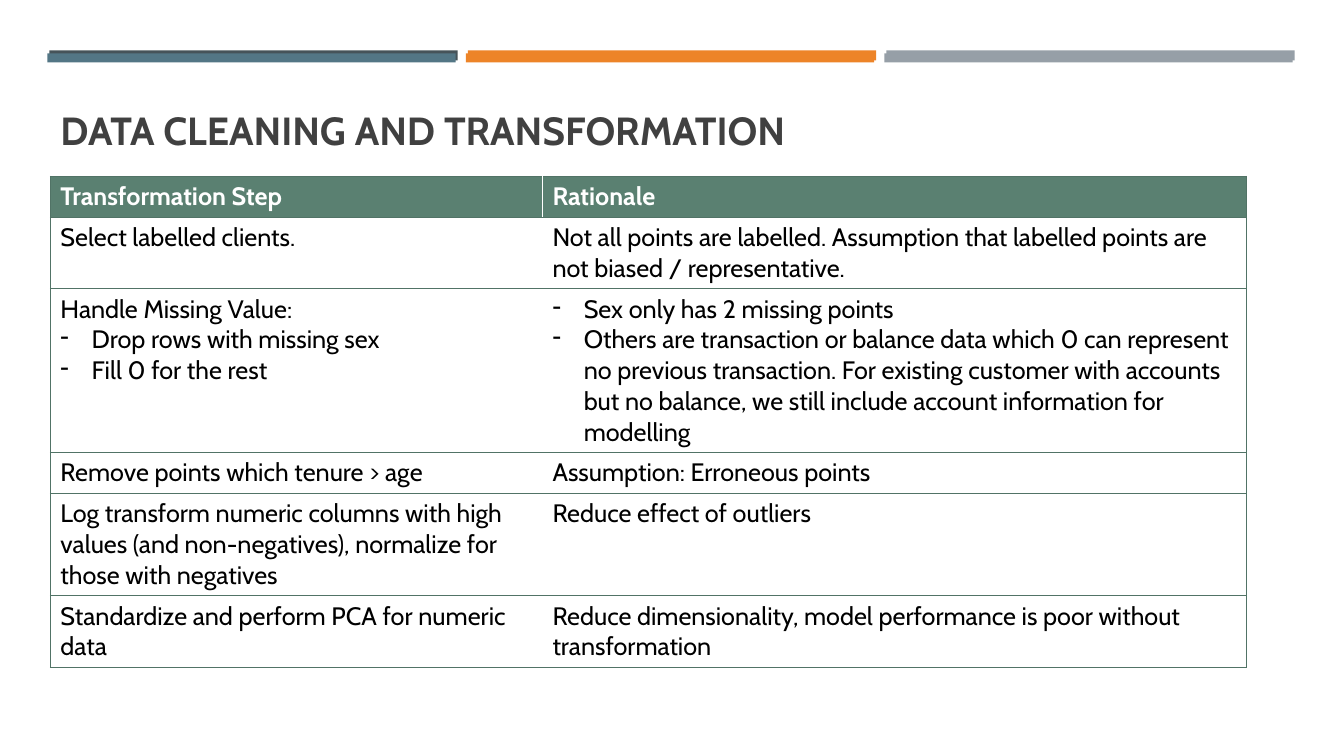
"""Build the data cleaning and transformation slide."""
import lxml.etree
import pptx
import pptx.dml.color
import pptx.enum.shapes
import pptx.enum.text
import pptx.oxml.ns
import pptx.util

Inches = pptx.util.Inches
FONT = "Cabin"
GREEN, LINE = "5A8071", "517366"
BAR_WIDTH, BAR_STEP = 4.05, 4.15
LINE_HEIGHT, CELL_PADDING = 0.305, 0.1


def colour(code):
    """Turn a hex string into a colour."""
    return pptx.dml.color.RGBColor.from_string(code)


def style(para, size, code, bold):
    """Format every run of a paragraph."""
    for span in para.runs:
        span.font.name = FONT
        span.font.size = pptx.util.Pt(size)
        span.font.bold = bold
        span.font.color.rgb = colour(code)


deck = pptx.Presentation()
deck.slide_width, deck.slide_height = Inches(13.33), Inches(7.5)
page = deck.slides.add_slide(deck.slide_layouts[6])

bar_layers = [
    (0.49, 0.5, 0.1, ["465359", "ED8428", "969FA7"]),
    (0.47, 0.53, 0.09, ["537685", "ED8428", "969FA7"]),
]
for left, top, height, codes in bar_layers:
    for index, code in enumerate(codes):
        bar = page.shapes.add_shape(
            pptx.enum.shapes.MSO_SHAPE.RECTANGLE,
            Inches(left + index * BAR_STEP), Inches(top), Inches(BAR_WIDTH), Inches(height))
        bar.shadow.inherit = False
        bar.fill.solid()
        bar.fill.fore_color.rgb = colour(code)
        bar.line.fill.background()

title = page.shapes.add_textbox(Inches(0.5), Inches(0.32), Inches(12.32), Inches(1.25))
title.text_frame.word_wrap = True
title.text_frame.vertical_anchor = pptx.enum.text.MSO_ANCHOR.BOTTOM
title.text_frame.text = "DATA CLEANING AND TRANSFORMATION"
style(title.text_frame.paragraphs[0], 28, "404040", True)

steps = [
    (1, "Transformation Step", "Rationale"),
    (2, "Select labelled clients.",
     "Not all points are labelled. Assumption that labelled points are not biased / representative."),
    (5, "Handle Missing Value:\n- Drop rows with missing sex\n- Fill 0 for the rest",
     "- Sex only has 2 missing points\n"
     "- Others are transaction or balance data which 0 can represent no previous transaction. "
     "For existing customer with accounts but no balance, we still include account information "
     "for modelling"),
    (1, "Remove points which tenure > age", "Assumption: Erroneous points"),
    (3, "Log transform numeric columns with high values (and non-negatives), "
     "normalize for those with negatives", "Reduce effect of outliers"),
    (2, "Standardize and perform PCA for numeric data",
     "Reduce dimensionality, model performance is poor without transformation"),
]
heights = [CELL_PADDING + lines * LINE_HEIGHT for lines, *_ in steps]
table = page.shapes.add_table(
    len(steps), 2, Inches(0.5), Inches(1.75), Inches(11.86), Inches(sum(heights))).table
table.horz_banding = False
for column, width in zip(table.columns, (4.88, 6.98)):
    column.width = Inches(width)

for row_index, (lines, *texts) in enumerate(steps):
    table.rows[row_index].height = Inches(heights[row_index])
    header = row_index == 0
    for column_index, text in enumerate(texts):
        cell = table.cell(row_index, column_index)
        cell.fill.solid()
        cell.fill.fore_color.rgb = colour(GREEN if header else "FFFFFF")
        items = text.split("\n")
        cell.text_frame.text = "\n".join(item.removeprefix("- ") for item in items)
        for item, para in zip(items, cell.text_frame.paragraphs):
            style(para, 18, "FFFFFF" if header else "000000", header)
            if item.startswith("- "):
                properties = para._p.get_or_add_pPr()
                properties.set("marL", str(Inches(0.31)))
                properties.set("indent", str(-Inches(0.31)))
                bullet = lxml.etree.SubElement(properties, pptx.oxml.ns.qn("a:buChar"))
                bullet.set("char", "-")

        outer_side = "a:lnR" if column_index else "a:lnL"
        for position, side in enumerate((outer_side, "a:lnT", "a:lnB")):
            border = lxml.etree.Element(pptx.oxml.ns.qn(side), w=str(pptx.util.Pt(1)))
            fill = lxml.etree.SubElement(border, pptx.oxml.ns.qn("a:solidFill"))
            lxml.etree.SubElement(fill, pptx.oxml.ns.qn("a:srgbClr"), val=LINE)
            cell._tc.get_or_add_tcPr().insert(position, border)

deck.save("out.pptx")
